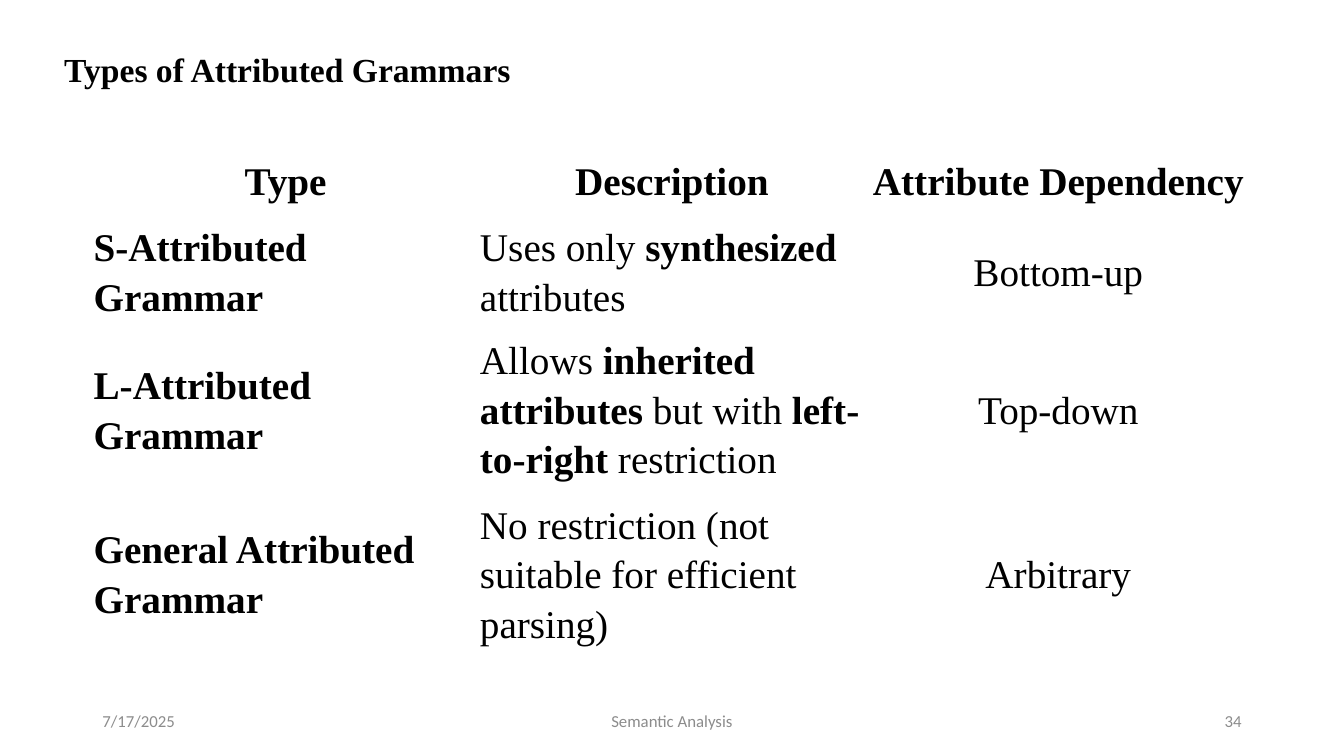
from pptx import Presentation
from pptx.dml.color import RGBColor
from pptx.enum.text import MSO_ANCHOR, MSO_AUTO_SIZE, PP_ALIGN
from pptx.util import Cm, Pt

BLACK = RGBColor(0x00, 0x00, 0x00)
GREY = RGBColor(0x8C, 0x8C, 0x8C)
SERIF = "Times New Roman"
SANS = "Calibri"
BOLD_MARK = "**"

GRAMMARS = [
    ("**Type**", "**Description**", "**Attribute Dependency**"),
    ("**S-Attributed Grammar**", "Uses only **synthesized** attributes", "Bottom-up"),
    ("**L-Attributed Grammar**",
     "Allows **inherited attributes** but with **left-to-right** restriction", "Top-down"),
    ("**General Attributed Grammar**",
     "No restriction (not suitable for efficient parsing)", "Arbitrary"),
]
ROW_HEIGHTS = [Cm(1.8), Cm(1.8), Cm(3.58), Cm(1.8)]


def write_text(frame, text, font=SERIF, size=28, color=BLACK, align=PP_ALIGN.LEFT,
               line_spacing=None, space_after=None):
    para = frame.paragraphs[0]
    para.alignment = align
    para.line_spacing = line_spacing
    para.space_after = space_after
    for index, piece in enumerate(text.split(BOLD_MARK)):
        if piece:
            span = para.add_run()
            span.text = piece
            span.font.name = font
            span.font.size = Pt(size)
            span.font.bold = index % 2 == 1
            span.font.color.rgb = color


def add_text_box(page, left, top, width, height, text, anchor=MSO_ANCHOR.TOP, **style):
    box = page.shapes.add_textbox(left, top, width, height)
    frame = box.text_frame
    frame.word_wrap = True
    frame.vertical_anchor = anchor
    write_text(frame, text, **style)
    return box


def add_title(page, left, top, width, height):
    box = add_text_box(page, left, top, width, height,
                       "**Types of Attributed Grammars**", size=24)
    box.text_frame.auto_size = MSO_AUTO_SIZE.SHAPE_TO_FIT_TEXT


def add_grammar_table(page, left, top, width, height):
    holder = page.shapes.add_table(len(GRAMMARS), len(GRAMMARS[0]), left, top, width, height)
    table = holder.table
    table.first_row = False
    table.horz_banding = False
    for row, row_height in zip(table.rows, ROW_HEIGHTS):
        row.height = row_height
    holder.height = height
    for row_index, texts in enumerate(GRAMMARS):
        for column_index, text in enumerate(texts):
            cell = table.cell(row_index, column_index)
            cell.fill.background()
            cell.vertical_anchor = MSO_ANCHOR.MIDDLE
            cell.margin_left = cell.margin_right = Cm(0.03)
            cell.margin_top = cell.margin_bottom = Cm(0.03)
            centred = row_index == 0 or column_index == 2
            write_text(cell.text_frame, text,
                       align=PP_ALIGN.CENTER if centred else PP_ALIGN.LEFT,
                       line_spacing=1.15, space_after=Pt(8))


def add_footer(page, left, top, width, height):
    side, middle = Cm(7.62), Cm(11.43)
    parts = [
        ("7/17/2025", left, side, PP_ALIGN.LEFT),
        ("Semantic Analysis", left + (width - middle) // 2, middle, PP_ALIGN.CENTER),
        ("34", left + width - side, side, PP_ALIGN.RIGHT),
    ]
    for text, part_left, part_width, align in parts:
        add_text_box(page, part_left, top, part_width, height, text,
                     anchor=MSO_ANCHOR.MIDDLE, font=SANS, size=12, color=GREY, align=align)


def main():
    deck = Presentation()
    deck.slide_width = Cm(33.87)
    deck.slide_height = Cm(19.05)
    page = deck.slides.add_slide(deck.slide_layouts[6])
    add_title(page, Cm(1.37), Cm(1.12), Cm(16.94), Cm(1.27))
    add_grammar_table(page, Cm(2.33), Cm(3.61), Cm(29.21), Cm(12.62))
    add_footer(page, Cm(2.33), Cm(17.65), Cm(29.21), Cm(1.02))
    deck.save("out.pptx")


if __name__ == "__main__":
    main()
